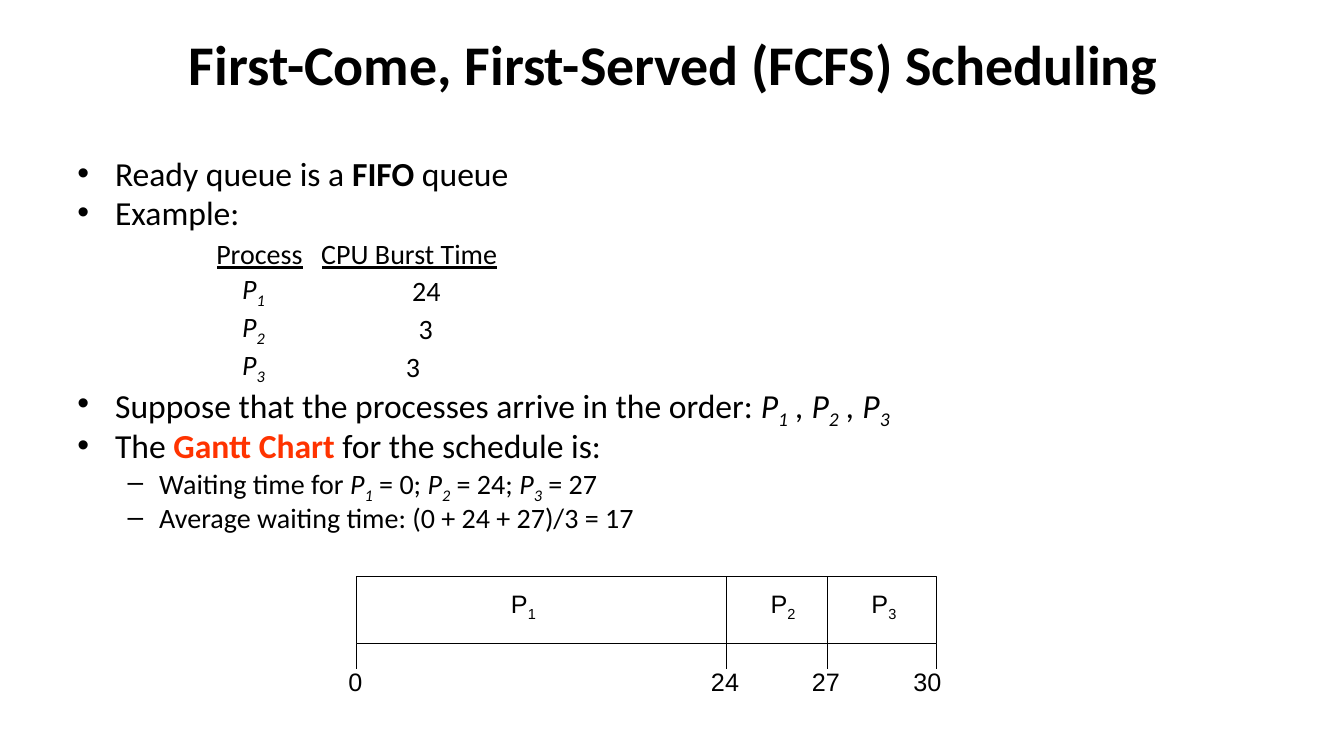
from dataclasses import dataclass

from lxml.etree import SubElement
from pptx import Presentation
from pptx.dml.color import RGBColor as RGB
from pptx.enum.shapes import MSO_CONNECTOR as CONN, MSO_SHAPE as SHAPE
from pptx.enum.text import MSO_ANCHOR as ANCHOR, MSO_AUTO_SIZE as FIT, PP_ALIGN as ALIGN
from pptx.oxml.ns import qn
from pptx.util import Pt


@dataclass(frozen=True)
class Theme:
    """Colours, fonts and type sizes of the slide."""
    ink: RGB = RGB(0, 0, 0)
    paper: RGB = RGB(255, 255, 255)
    accent: RGB = RGB(0xFF, 0x33, 0x00)
    text_font: str = "Calibri"
    chart_font: str = "Arial"
    title: int = 40
    body: int = 24
    detail: int = 20
    label: int = 18
    line: float = 0.75


T = Theme()
STYLES = {
    "": {},
    "b": {"bold": True},
    "i": {"italic": True},
    "u": {"underline": True},
    "hot": {"bold": True, "color": T.accent},
    "sub": {"baseline": "-25000"},
    "isub": {"italic": True, "baseline": "-25000"},
}


def proc(n):
    """Return the runs of an italic process name with its subscript."""
    return [("P", "i"), (str(n), "isub")]


POINTS = [
    (0, None, [("Ready queue is a ", ""), ("FIFO", "b"), (" queue", "")]),
    (0, None, [("Example:", "")]),
    (0, 112, [("Suppose that the processes arrive in the order: ", ""),
              *proc(1), (" , ", "i"), *proc(2), (" , ", "i"), *proc(3)]),
    (0, None, [("The ", ""), ("Gantt Chart", "hot"), (" for the schedule is:", "")]),
    (1, None, [("Waiting time for ", ""), *proc(1), (" = 0; ", ""),
               *proc(2), (" = 24; ", ""), *proc(3), (" = 27", "")]),
    (1, None, [("Average waiting time: (0 + 24 + 27)/3 = 17", "")]),
]
BURSTS = [
    [(0, [("Process", "u")]), (0, [("CPU Burst Time", "u")])],
    *[[(18.5, proc(n)), (indent, [(str(burst), "")])]
      for n, burst, indent in [(1, 24, 65), (2, 3, 69.5), (3, 3, 60.5)]],
]


def add_runs(p, runs, size, font):
    """Append styled runs to a paragraph."""
    for text, style in runs:
        r = p.add_run()
        r.text = text
        fmt = {"size": Pt(size), "name": font, "color": T.ink, **STYLES[style]}
        r.font.color.rgb = fmt.pop("color")
        if "baseline" in fmt:
            r._r.get_or_add_rPr().set("baseline", fmt.pop("baseline"))
        for name, value in fmt.items():
            setattr(r.font, name, value)


def place(sp, x, y, w, h):
    """Move and size a shape, in points."""
    for name, value in zip(("left", "top", "width", "height"), (x, y, w, h)):
        setattr(sp, name, Pt(value))


def add_title(sp, text, box):
    """Fill the title placeholder."""
    place(sp, *box)
    tf = sp.text_frame
    tf.vertical_anchor = ANCHOR.MIDDLE
    p = tf.paragraphs[0]
    p.alignment = ALIGN.CENTER
    add_runs(p, [(text, "b")], T.title, T.text_font)


def add_points(sp, points, box):
    """Fill the body placeholder with bullets, leaving room for the table."""
    place(sp, *box)
    tf = sp.text_frame
    tf.auto_size = FIT.NONE
    for n, (level, gap, runs) in enumerate(points):
        p = tf.add_paragraph() if n else tf.paragraphs[0]
        p.level = level
        p.line_spacing = 0.8
        if gap:
            p.space_before = Pt(gap)
        add_runs(p, runs, T.detail if level else T.body, T.text_font)


def add_bursts(slide, rows, box):
    """Add the plain table of processes and burst times."""
    x, y, w, h = box
    table = slide.shapes.add_table(len(rows), 2, *map(Pt, box)).table
    table.first_row = table.horz_banding = False
    for col, width in zip(table.columns, (75, w - 75)):
        col.width = Pt(width)
    for i, row in enumerate(rows):
        for j, (indent, runs) in enumerate(row):
            cell = table.cell(i, j)
            cell.fill.background()
            for name, value in {"margin_left": Pt(indent), "margin_right": 0, "margin_top": 0,
                                "margin_bottom": 0, "vertical_anchor": ANCHOR.MIDDLE}.items():
                setattr(cell, name, value)
            add_runs(cell.text_frame.paragraphs[0], runs, T.detail, T.text_font)


def add_label(shapes, runs, centre, y):
    """Add a chart label centred on an x position."""
    w, h = 50, 29
    tf = shapes.add_textbox(Pt(centre - w / 2), Pt(y), Pt(w), Pt(h)).text_frame
    for name, value in {"word_wrap": False, "auto_size": FIT.NONE, "margin_left": 0,
                        "margin_right": 0, "vertical_anchor": ANCHOR.MIDDLE}.items():
        setattr(tf, name, value)
    p = tf.paragraphs[0]
    p.alignment = ALIGN.CENTER
    add_runs(p, runs, T.label, T.chart_font)


def add_vline(shapes, x, top, bottom):
    """Add a thin vertical line."""
    c = shapes.add_connector(CONN.STRAIGHT, Pt(x), Pt(top), Pt(x), Pt(bottom))
    c.line.color.rgb = T.ink
    c.line.width = Pt(T.line)
    SubElement(c._element.spPr, qn("a:effectLst"))


def add_gantt(slide, box):
    """Draw the Gantt bar with its divisions, ticks and labels."""
    x, y, w, h = box
    shapes = slide.shapes.add_group_shape().shapes
    bar = shapes.add_shape(SHAPE.RECTANGLE, *map(Pt, box))
    bar.shadow.inherit = False
    bar.fill.solid()
    bar.fill.fore_color.rgb = T.paper
    bar.line.color.rgb = T.ink
    bar.line.width = Pt(T.line)
    for n, centre in enumerate((119, 304.5, 376.5), 1):
        add_label(shapes, [("P", ""), (str(n), "sub")], x + centre, y + 6)
    for time, offset, centre in [(0, 0, -1), (24, 264, 263), (27, 336, 335), (30, w, w - 6.5)]:
        if 0 < offset < w:
            add_vline(shapes, x + offset, y, y + h)
        add_vline(shapes, x + offset, y + h, y + h + 18)
        add_label(shapes, [(str(time), "")], x + centre, y + 60)


def main():
    """Build the slide and save it."""
    prs = Presentation()
    prs.slide_width, prs.slide_height = Pt(960), Pt(540)
    s = prs.slides.add_slide(prs.slide_layouts[1])
    add_title(s.shapes.title, "First-Come, First-Served (FCFS) Scheduling", (49, 0, 864, 90))
    add_points(s.placeholders[1], POINTS, (48, 111.5, 864, 385))
    add_bursts(s, BURSTS, (154.5, 169, 215, 104))
    add_gantt(s, (254.9, 412, 414, 48))
    prs.save("out.pptx")


if __name__ == "__main__":
    main()
